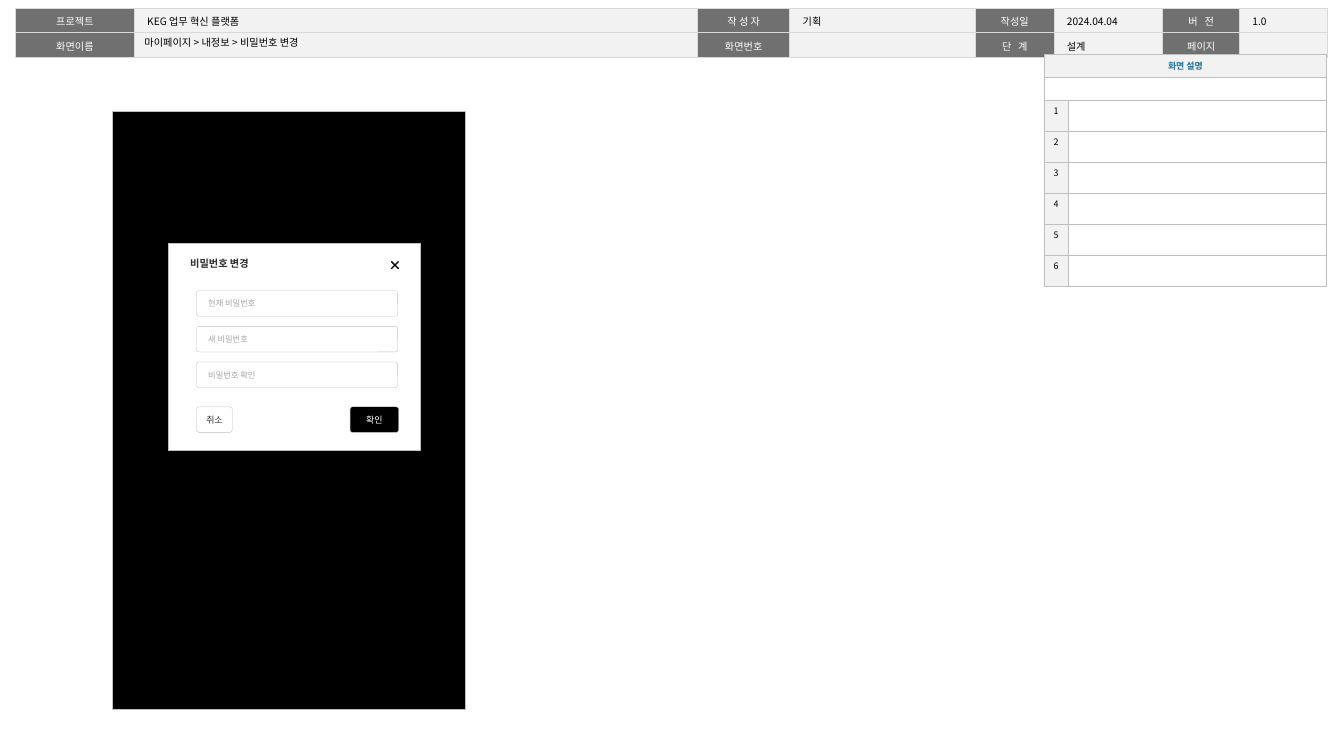
from lxml import etree
from pptx import Presentation
from pptx import util as u
from pptx.dml.color import RGBColor
from pptx.enum import shapes, text
from pptx.oxml.ns import qn

# Colours and fonts
BLACK, WHITE = RGBColor(0, 0, 0), RGBColor(255, 255, 255)
DARK, PALE = RGBColor(0x70, 0x70, 0x70), RGBColor(0xF2, 0xF2, 0xF2)
GRID, BORDER = RGBColor(0xD9, 0xD9, 0xD9), RGBColor(0xBF, 0xBF, 0xBF)
INK, HINT = RGBColor(0x2E, 0x2E, 0x2E), RGBColor(0xA6, 0xA6, 0xA6)
BLUE = RGBColor(0x17, 0x6F, 0x9B)
KOREAN, LATIN = "Noto Sans CJK KR", "Arial"
LEFT, CENTER = text.PP_ALIGN.LEFT, text.PP_ALIGN.CENTER
TOP, MIDDLE = text.MSO_ANCHOR.TOP, text.MSO_ANCHOR.MIDDLE

# Content; lengths in px, 100 px to the inch
PX = 9144
SLIDE = (1470, 827)
BREADCRUMB = "마이페이지 > 내정보 > 비밀번호 변경"
HEADER = [
    ["프로젝트", "KEG 업무 혁신 플랫폼", "작 성 자", "기획",
     "작성일", "2024.04.04", "버 전", "1.0"],
    ["화면이름", "", "화면번호", "", "단 계", "설계", "페이지", ""],
]
HEADER_COLUMNS = [130, 616, 101, 203, 86, 119, 84, 96]
SPACED_LABELS = {"버 전", "단 계"}
NOTES_TITLE = "화면 설명"
NOTE_COUNT = 6
MODAL_TITLE = "비밀번호 변경"
FIELDS = ["현재 비밀번호", "새 비밀번호", "비밀번호 확인"]
FIELD_TOP, FIELD_STEP = 318, 39
BUTTONS = [("취소", 215, 39, WHITE, INK), ("확인", 383, 53, BLACK, WHITE)]
CROSS = (428, 286, 436, 294)


def px(*lengths):
    return [u.Emu(length * PX) for length in lengths]


def set_text(frame, words, size, color, align=LEFT, font=KOREAN, bold=False):
    frame.text = words
    paragraph = frame.paragraphs[0]
    paragraph.alignment = align
    for run in paragraph.runs:
        run.font.size, run.font.bold, run.font.name = u.Pt(size), bold, font
        run.font.color.rgb = color
        properties = run._r.get_or_add_rPr()
        etree.SubElement(properties, qn("a:ea"), typeface=KOREAN)
        if words in SPACED_LABELS:
            properties.set("spc", "180")
    if not words:  # keeps an empty cell as low as its row
        etree.SubElement(paragraph._p, qn("a:endParaRPr"), sz=str(size * 100))
    return paragraph


def set_margins(target, margins):
    (target.margin_left, target.margin_top,
     target.margin_right, target.margin_bottom) = px(*margins)


def add_table(slide, left, top, columns, rows):
    frame = slide.shapes.add_table(
        len(rows), len(columns), *px(left, top, sum(columns), sum(rows)))
    table = frame.table
    table.first_row = table.horz_banding = False
    for column, width in zip(table.columns, columns):
        column.width = u.Emu(width * PX)
    for row, height in zip(table.rows, rows):
        row.height = u.Emu(height * PX)
    return table


def style_cell(cell, fill, border, width, margins, anchor=TOP):
    properties = cell._tc.get_or_add_tcPr()
    for side in ("lnL", "lnR", "lnT", "lnB"):
        line = etree.SubElement(properties, qn("a:" + side), w=str(int(width * 12700)))
        solid = etree.SubElement(line, qn("a:solidFill"))
        etree.SubElement(solid, qn("a:srgbClr"), val=str(border))
    cell.fill.solid()
    cell.fill.fore_color.rgb = fill
    set_margins(cell, margins)
    cell.vertical_anchor = anchor


def add_box(slide, kind, box, fill, line_width):
    shape = slide.shapes.add_shape(kind, *px(*box))
    shape.shadow.inherit = False
    shape.fill.solid()
    shape.fill.fore_color.rgb = fill
    shape.line.color.rgb = BORDER
    shape.line.width = u.Pt(line_width)
    if kind == shapes.MSO_SHAPE.ROUNDED_RECTANGLE:
        shape.adjustments[0] = 0.1
    return shape


def fill_frame(shape, margins, anchor):
    frame = shape.text_frame
    frame.word_wrap = True
    frame.vertical_anchor = anchor
    set_margins(frame, margins)
    return frame


def add_header(slide):
    table = add_table(slide, 17, 9, HEADER_COLUMNS, [24, 24])
    for r, row in enumerate(HEADER):
        for c, words in enumerate(row):
            label = c % 2 == 0
            cell = table.cell(r, c)
            style_cell(cell, DARK if label else PALE, GRID, 1, (14, 5, 14, 5))
            paragraph = set_text(cell.text_frame, words, 8, WHITE if label else BLACK,
                                 CENTER if label else LEFT)
            paragraph.line_spacing = 1.05


def add_breadcrumb(slide):
    title = slide.shapes.title
    title.left, title.top, title.width, title.height = px(147, 38, 385, 16)
    frame = fill_frame(title, (11, 5, 11, 5), MIDDLE)
    frame.auto_size = text.MSO_AUTO_SIZE.NONE
    set_text(frame, BREADCRUMB, 8, BLACK)
    slide.shapes._spTree.append(title._element)  # in front of the header table


def add_notes_table(slide):
    table = add_table(slide, 1142, 59, [26, 283], [25, 25] + [34] * NOTE_COUNT)
    rows = [(NOTES_TITLE, ""), ("", "")]
    rows += [(str(number), "") for number in range(1, NOTE_COUNT + 1)]
    for r, row in enumerate(rows):
        for c, words in enumerate(row):
            cell = table.cell(r, c)
            shaded = r == 0 or (r > 1 and c == 0)
            style_cell(cell, PALE if shaded else WHITE, BORDER, 0.25, (4, 5, 4, 5),
                       MIDDLE if r == 0 else TOP)
            set_text(cell.text_frame, words, 7, BLUE if r == 0 else BLACK,
                     CENTER, bold=r == 0)
    for r in (0, 1):
        table.cell(r, 0).merge(table.cell(r, 1))


def add_modal(slide):
    rectangle = shapes.MSO_SHAPE.RECTANGLE
    rounded = shapes.MSO_SHAPE.ROUNDED_RECTANGLE
    modal = add_box(slide, rectangle, (184, 266, 276, 227), WHITE, 0.5)
    set_text(fill_frame(modal, (24, 16, 16, 5), TOP), MODAL_TITLE, 8, INK, bold=True)

    # Close cross
    left, top, right, bottom = CROSS
    cross = slide.shapes.add_group_shape()
    for start, end in ((left, right), (right, left)):
        stroke = cross.shapes.add_connector(
            shapes.MSO_CONNECTOR.STRAIGHT, *px(start, top, end, bottom))
        stroke.line.color.rgb = BLACK
        stroke.line.width = u.Pt(1)
        etree.SubElement(stroke._element.spPr, qn("a:effectLst"))

    # Buttons
    for words, x, width, fill, color in BUTTONS:
        button = add_box(slide, rounded, (x, 445, width, 28), fill, 0.25)
        set_text(fill_frame(button, (4, 0, 4, 0), MIDDLE), words, 7, color, CENTER, LATIN)

    # Input fields
    for index, words in enumerate(FIELDS):
        box = (215, FIELD_TOP + index * FIELD_STEP, 220, 28)
        field = add_box(slide, rounded, box, WHITE, 0.25)
        set_text(fill_frame(field, (12, 0, 8, 0), MIDDLE), words, 6.5, HINT, font=LATIN)


def main():
    presentation = Presentation()
    presentation.slide_width, presentation.slide_height = px(*SLIDE)
    slide = presentation.slides.add_slide(presentation.slide_layouts[5])
    add_header(slide)
    add_box(slide, shapes.MSO_SHAPE.RECTANGLE, (123, 122, 386, 654), BLACK, 0.5)
    add_breadcrumb(slide)
    add_notes_table(slide)
    add_modal(slide)
    presentation.save("out.pptx")


if __name__ == "__main__":
    main()
